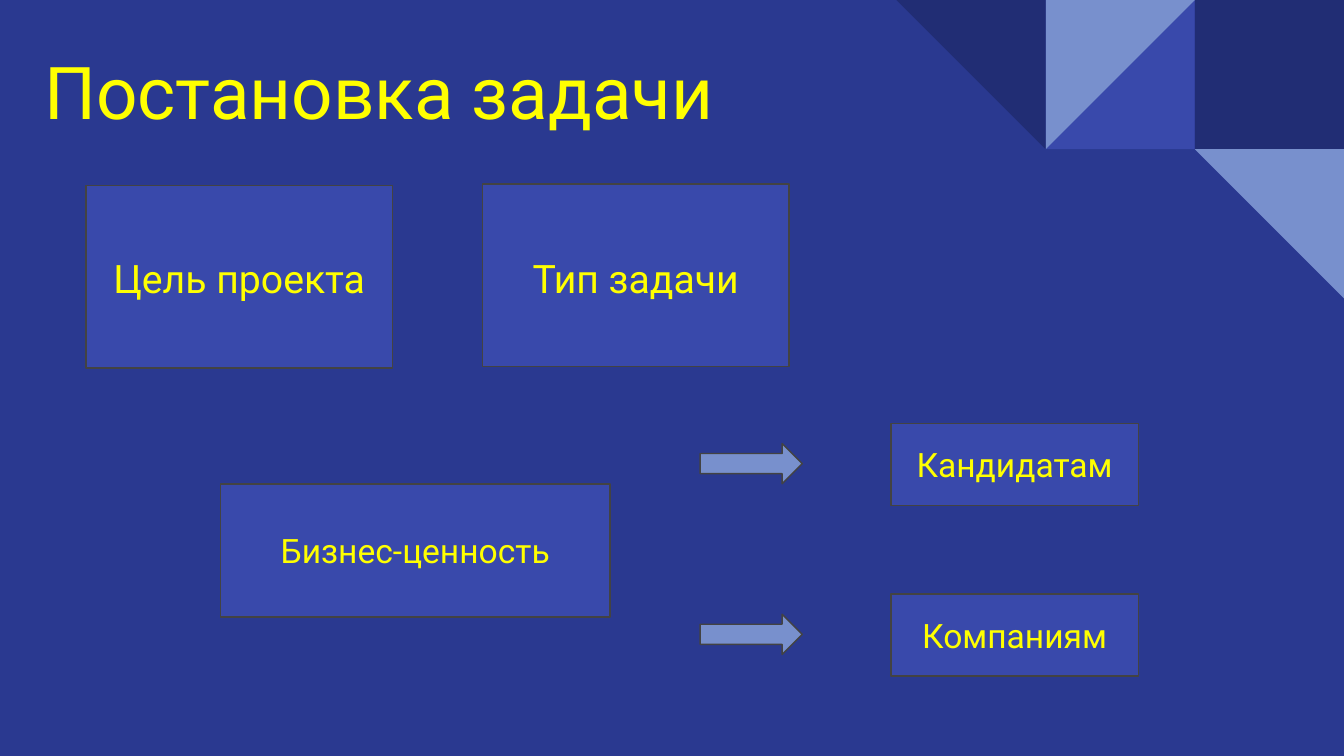
import pptx
import pptx.util
import pptx.dml.color
import pptx.enum.shapes
import pptx.enum.text

Inches = pptx.util.Inches
Kind = pptx.enum.shapes.MSO_SHAPE
Align = pptx.enum.text.PP_ALIGN

COLORS = {
    "background": "2A3990",
    "dark": "212D74",
    "box": "3949AB",
    "light": "7890CD",
    "outline": "434343",
    "text": "FFFF00",
}
TITLE = ("Постановка задачи", 39, (0.23, 0.18, 8.99, 0.99))
BOXES = [
    ("Цель проекта", 21, (0.64, 1.38, 2.28, 1.36), (0.64, 1.39, 2.28, 1.36)),
    ("Тип задачи", 21, (3.59, 1.37, 2.28, 1.36), (3.59, 1.39, 2.28, 1.36)),
    ("Бизнес-ценность", 18, (1.64, 3.6, 2.9, 0.99), (1.63, 3.6, 2.92, 0.99)),
]
BENEFITS = ["Кандидатам", "Компаниям"]
BENEFIT_TOP, BENEFIT_STEP = 3.15, 1.27
TILE = 1.11
TILES = [
    (Kind.RECTANGLE, 1, 0, "dark", 0, False),
    (Kind.RIGHT_TRIANGLE, 2, 0, "box", 0, True),
    (Kind.RIGHT_TRIANGLE, 2, 0, "light", 180, True),
    (Kind.RIGHT_TRIANGLE, 3, 0, "dark", 180, False),
    (Kind.RIGHT_TRIANGLE, 1, 1, "light", 180, False),
]


def color(name):
    return pptx.dml.color.RGBColor.from_string(COLORS[name])


def paint(fill, name):
    fill.solid()
    fill.fore_color.rgb = color(name)


def add_shape(page, kind, place, fill, outline=None):
    shape = page.shapes.add_shape(kind, *map(Inches, place))
    shape.shadow.inherit = False
    paint(shape.fill, fill)
    if outline:
        paint(shape.line.fill, outline)
        shape.line.width = pptx.util.Pt(0.75)
    else:
        shape.line.fill.background()
    return shape


def write(shape, text, size, align):
    frame = shape.text_frame
    frame_format = {
        "word_wrap": True,
        "auto_size": pptx.enum.text.MSO_AUTO_SIZE.NONE,
        "vertical_anchor": pptx.enum.text.MSO_ANCHOR.MIDDLE,
    }
    for side in ("left", "right", "top", "bottom"):
        frame_format[f"margin_{side}"] = Inches(0.1)
    for name, value in frame_format.items():
        setattr(frame, name, value)
    para = frame.paragraphs[0]
    para.alignment = align
    span = para.add_run()
    span.text = text
    for name, value in {"name": "Roboto", "size": pptx.util.Pt(size)}.items():
        setattr(span.font, name, value)
    span.font.color.rgb = color("text")


def add_box(page, text, size, box_place, label_place):
    add_shape(page, Kind.RECTANGLE, box_place, "box", "outline")
    label = page.shapes.add_textbox(*map(Inches, label_place))
    write(label, text, size, Align.CENTER)


def main():
    deck = pptx.Presentation()
    deck.slide_width = Inches(10)
    deck.slide_height = deck.slide_width * 9 // 16
    page = deck.slides.add_slide(deck.slide_layouts[5])
    paint(page.background.fill, "background")

    for kind, column, row, fill, rotation, flipped in TILES:
        place = (10 - column * TILE, row * TILE, TILE, TILE)
        tile = add_shape(page, kind, place, fill)
        tile.rotation = rotation
        if flipped:
            tile.element.spPr.xfrm.set("flipH", "1")

    text, size, place = TITLE
    title = page.shapes.title
    for name, value in zip(("left", "top", "width", "height"), place):
        setattr(title, name, Inches(value))
    write(title, text, size, Align.LEFT)

    for box in BOXES:
        add_box(page, *box)

    for index, text in enumerate(BENEFITS):
        top = BENEFIT_TOP + index * BENEFIT_STEP
        arrow_place = (5.21, top + 0.15, 0.76, 0.3)
        add_shape(page, Kind.RIGHT_ARROW, arrow_place, "light", "outline")
        box_place = (6.63, top, 1.84, 0.61)
        label_place = (6.63, top - 0.01, 1.84, 0.63)
        add_box(page, text, 18, box_place, label_place)

    deck.save("out.pptx")


if __name__ == "__main__":
    main()
